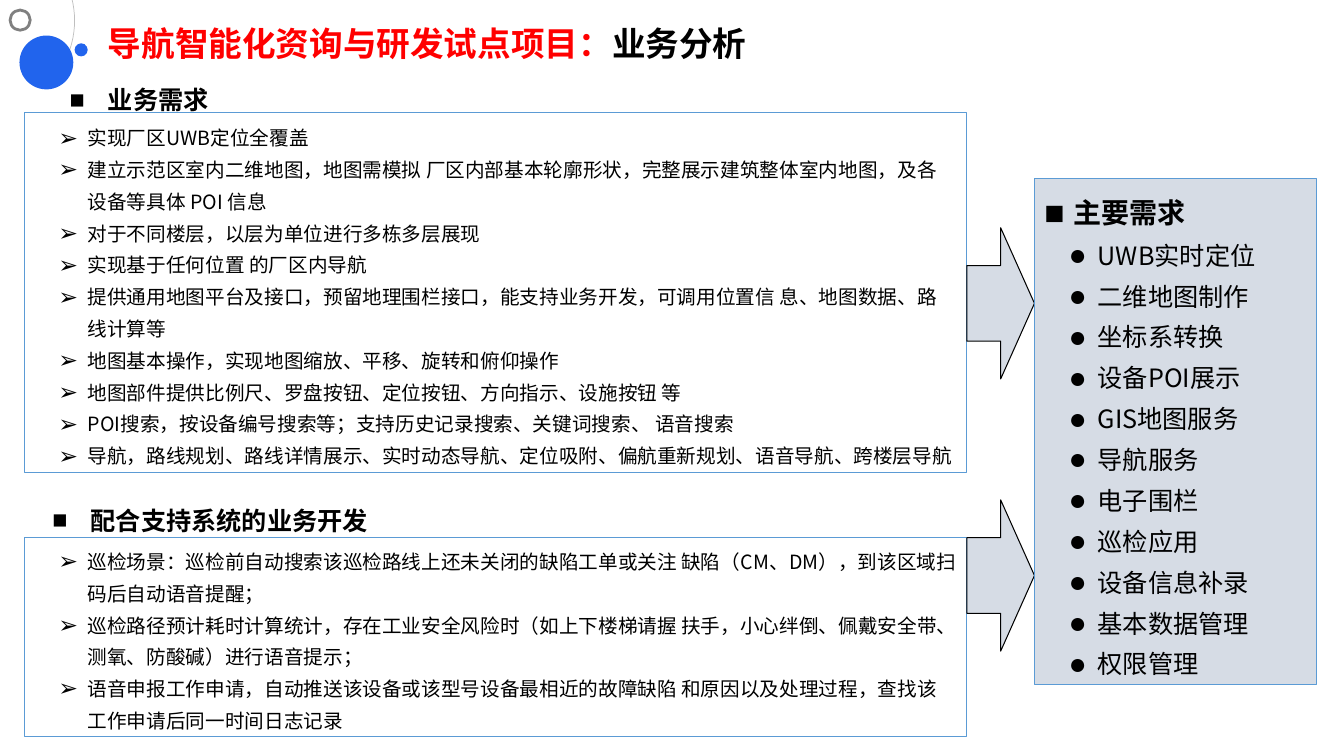
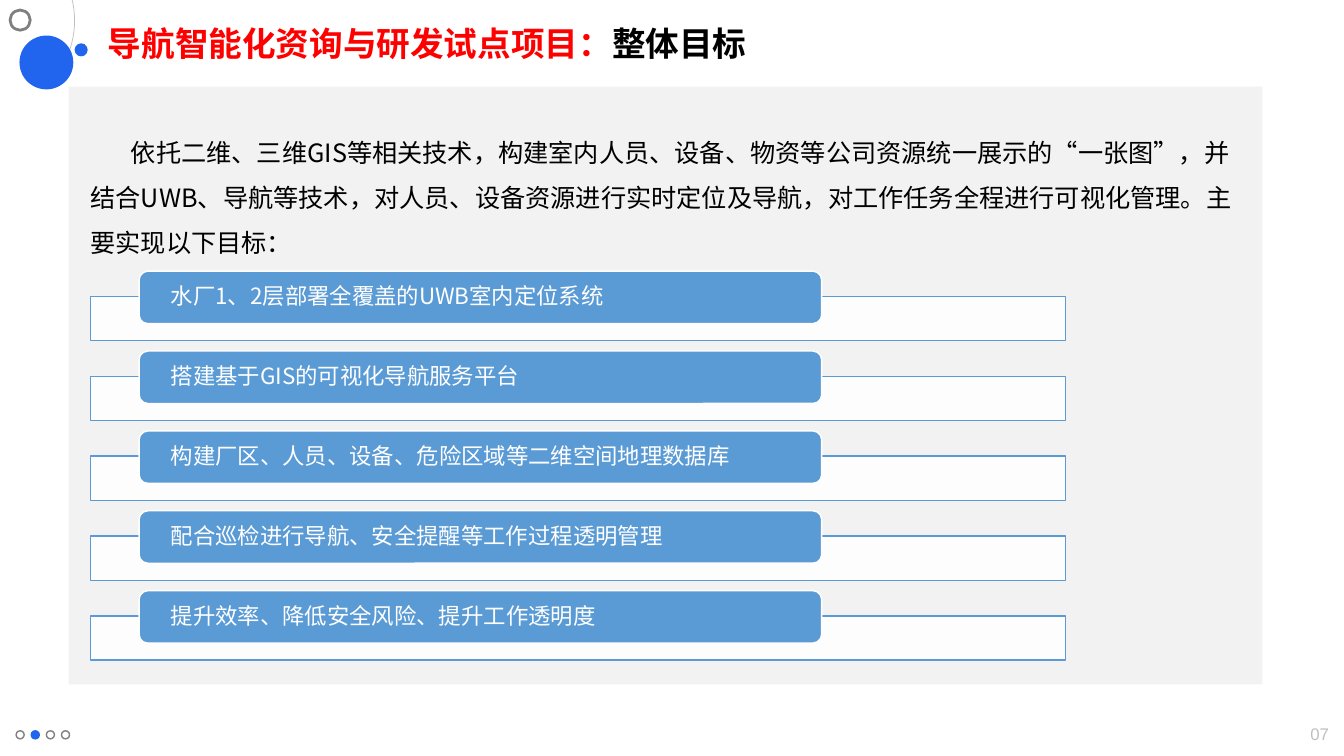
from lxml import etree
from pptx import Presentation
from pptx.dml.color import RGBColor
from pptx.enum.shapes import MSO_SHAPE as SHAPE
from pptx.enum.text import MSO_ANCHOR as ANCHOR, MSO_AUTO_SIZE as AUTO, PP_ALIGN as ALIGN
from pptx.oxml.ns import qn
from pptx.util import Inches, Pt

FONT, LATIN = "Noto Sans CJK SC", "Arial"
BLACK, WHITE, RED = "000000", "FFFFFF", "FF0000"
ACCENT, BORDER, PANEL = "2164ED", "5B9BD5", "D6DCE5"
GREY, PALE, LIGHT = "808080", "BFBFBF", "F2F2F2"
PROJECT = "导航智能化资询与研发试点项目："

BUSINESS = [
    "实现厂区UWB定位全覆盖",
    "建立示范区室内二维地图，地图需模拟 厂区内部基本轮廓形状，完整展示建筑整体室内地图，及各设备等具体 POI 信息",
    "对于不同楼层，以层为单位进行多栋多层展现",
    "实现基于任何位置 的厂区内导航",
    "提供通用地图平台及接口，预留地理围栏接口，能支持业务开发，可调用位置信 息、地图数据、路线计算等",
    "地图基本操作，实现地图缩放、平移、旋转和俯仰操作",
    "地图部件提供比例尺、罗盘按钮、定位按钮、方向指示、设施按钮 等",
    "POI搜索，按设备编号搜索等；支持历史记录搜索、关键词搜索、 语音搜索",
    "导航，路线规划、路线详情展示、实时动态导航、定位吸附、偏航重新规划、语音导航、跨楼层导航",
]
SUPPORT = [
    "巡检场景：巡检前自动搜索该巡检路线上还未关闭的缺陷工单或关注 缺陷（CM、DM），到该区域扫码后自动语音提醒；",
    "巡检路径预计耗时计算统计，存在工业安全风险时（如上下楼梯请握 扶手，小心绊倒、佩戴安全带、测氧、防酸碱）进行语音提示；",
    "语音申报工作申请，自动推送该设备或该型号设备最相近的故障缺陷 和原因以及处理过程，查找该工作申请后同一时间日志记录",
]
NEEDS = ["UWB实时定位", "二维地图制作", "坐标系转换", "设备POI展示", "GIS地图服务", "导航服务",
         "电子围栏", "巡检应用", "设备信息补录", "基本数据管理", "权限管理"]
SUMMARY = ("依托二维、三维GIS等相关技术，构建室内人员、设备、物资等公司资源统一展示的“一张图”，"
           "并结合UWB、导航等技术，对人员、设备资源进行实时定位及导航，对工作任务全程进行可视化管理。"
           "主要实现以下目标：")
GOALS = [
    "水厂1、2层部署全覆盖的UWB室内定位系统",
    "搭建基于GIS的可视化导航服务平台",
    "构建厂区、人员、设备、危险区域等二维空间地理数据库",
    "配合巡检进行导航、安全提醒等工作过程透明管理",
    "提升效率、降低安全风险、提升工作透明度",
]


def rgb(color):
    """Turn a hex string into a colour."""
    return RGBColor.from_string(color)


class Deck:
    """Holds the presentation, its style and the current slide."""

    def __init__(self):
        """Start an empty widescreen presentation."""
        self.prs = Presentation()
        self.prs.slide_width, self.prs.slide_height = Inches(13.33), Inches(7.5)

    def slide(self, layout, topic):
        """Add a slide with the corner decoration and the two-colour title."""
        self.s = self.prs.slides.add_slide(self.prs.slide_layouts[layout])
        arc = self.shape(SHAPE.ARC, (-1.05, -0.69, 1.79, 1.79), line=PALE, width=0.5)
        for i, degrees in enumerate((207.72, 48.6)):
            arc.adjustments[i] = degrees * 0.6
        self.shape(SHAPE.OVAL, (0.2, 0.36, 0.52, 0.52), ACCENT, ACCENT, 1)
        self.shape(SHAPE.OVAL, (0.74, 0.43, 0.13, 0.13), ACCENT)
        self.shape(SHAPE.OVAL, (0.1, 0.1, 0.2, 0.2), line=GREY, width=2)
        tf = self.holder(0, (0.97, 0.18, 10.63, 0.5)).text_frame
        p = tf.paragraphs[0]
        for text, color in ((PROJECT, RED), (topic, BLACK)):
            p.add_run().text = text
            self.style(p.runs[-1], 24, color, True)
        self.space(p, 24, 1)

    def shape(self, kind, at, fill=None, line=None, width=0.75, alpha=None):
        """Add a preset shape."""
        sp = self.s.shapes.add_shape(kind, *map(Inches, at))
        sp.shadow.inherit = False
        self.paint(sp, fill, line, width)
        if alpha:
            color = sp.fill._xPr.find(qn("a:solidFill"))[0]
            etree.SubElement(color, qn("a:alpha"), val=str(alpha * 1000))
        return sp

    def paint(self, sp, fill, line, width=0.75):
        """Set the fill and outline of a shape."""
        if fill:
            sp.fill.solid()
            sp.fill.fore_color.rgb = rgb(fill)
        else:
            sp.fill.background()
        if line:
            sp.line.color.rgb = rgb(line)
            sp.line.width = Pt(width)
        else:
            sp.line.fill.background()

    def holder(self, idx, at, anchor=ANCHOR.TOP):
        """Move a placeholder of the layout into place."""
        sp = next(p for p in self.s.placeholders if p.placeholder_format.idx == idx)
        sp.left, sp.top, sp.width, sp.height = map(Inches, at)
        self.frame(sp, anchor)
        return sp

    def frame(self, sp, anchor):
        """Set wrapping and anchoring of a text frame."""
        tf = sp.text_frame
        tf.word_wrap, tf.auto_size, tf.vertical_anchor = True, AUTO.NONE, anchor
        return tf

    def style(self, r, size, color=BLACK, bold=False, font=FONT):
        """Format one run."""
        r.font.size, r.font.bold, r.font.name = Pt(size), bold, font
        r.font.color.rgb = rgb(color)
        r.font._rPr.find(qn("a:latin")).addnext(etree.Element(qn("a:ea"), typeface=font))

    def space(self, p, size, ratio, align=ALIGN.LEFT):
        """Set alignment and line pitch, as a ratio of a 1.2 em line."""
        p.alignment = align
        p.space_before = p.space_after = Pt(0)
        p.line_spacing = Pt(round(size * 1.2 * ratio, 1))

    def para(self, p, text, size, ratio=1, color=BLACK, bold=False, align=ALIGN.LEFT, font=FONT):
        """Fill one paragraph and format it."""
        p.text = text
        self.space(p, size, ratio, align)
        self.style(p.runs[0], size, color, bold, font)

    def indent(self, p, left, first):
        """Set the left margin and first-line indent."""
        pPr = p._p.get_or_add_pPr()
        pPr.set("marL", str(Inches(left)))
        pPr.set("indent", str(Inches(first)))
        return pPr

    def bullet(self, p, char, left, hang, percent=120):
        """Give a paragraph a hanging bullet."""
        pPr = self.indent(p, left, -hang)
        etree.SubElement(pPr, qn("a:buSzPct"), val=str(percent * 1000))
        etree.SubElement(pPr, qn("a:buFont"), typeface=LATIN)
        etree.SubElement(pPr, qn("a:buChar"), char=char)

    def items(self, tf, texts, size, char):
        """Append bulleted paragraphs, starting with an empty first one."""
        for text in texts:
            p = tf.add_paragraph() if tf.text else tf.paragraphs[0]
            self.para(p, text, size, 1.35)
            self.bullet(p, char, 0.53, 0.29)

    def heading(self, idx, left, top, text):
        """Fill a section heading placeholder."""
        p = self.holder(idx, (left, top, 8.82, 0.51)).text_frame.paragraphs[0]
        self.para(p, text, 18, 1.5, bold=True)
        self.bullet(p, "■", 0.38, 0.38, 100)

    def boxed_list(self, idx, top, height, texts):
        """Fill an outlined list placeholder."""
        sp = self.holder(idx, (0.24, top, 9.35, height), ANCHOR.MIDDLE)
        self.paint(sp, None, BORDER)
        self.items(sp.text_frame, texts, 14, "➢")

    def panel(self, at, title, texts):
        """Add a filled panel with a heading and a list."""
        tf = self.frame(self.shape(SHAPE.RECTANGLE, at, PANEL, BORDER), ANCHOR.MIDDLE)
        self.para(tf.paragraphs[0], title, 20, 1.35, bold=True)
        self.bullet(tf.paragraphs[0], "■", 0.29, 0.29)
        self.items(tf, texts, 18, "●")

    def text(self, at, text, size, anchor=ANCHOR.TOP, **look):
        """Add a text box with one paragraph."""
        tf = self.frame(self.s.shapes.add_textbox(*map(Inches, at)), anchor)
        self.para(tf.paragraphs[0], text, size, **look)
        return tf.paragraphs[0]

    def goal(self, top, text):
        """Add a goal label over its outlined bar."""
        self.shape(SHAPE.RECTANGLE, (0.9, top + 0.25, 9.67, 0.44), WHITE, BORDER, 1, 90)
        sp = self.shape(SHAPE.ROUNDED_RECTANGLE, (1.38, top, 6.77, 0.52), BORDER, WHITE, 1)
        tf = self.frame(sp, ANCHOR.MIDDLE)
        tf.margin_left = tf.margin_right = Inches(0.29)
        tf.margin_top = tf.margin_bottom = 0
        self.para(tf.paragraphs[0], text, 16, 0.9, WHITE)

    def footer(self, number, active, count=4):
        """Add the page number and the progress dots."""
        self.text((12.48, 7.07, 0.8, 0.43), number, 12, ANCHOR.MIDDLE,
                  color=PALE, align=ALIGN.RIGHT, font=LATIN)
        for i in range(count):
            fill, line = (ACCENT, ACCENT) if i == active else (None, GREY)
            self.shape(SHAPE.OVAL, (0.16 + 0.15 * i, 7.25, 0.08, 0.08), fill, line, 1)


def analysis(deck):
    """Build the business analysis slide."""
    deck.slide(4, "业务分析")
    deck.heading(1, 0.59, 0.64, "业务需求")
    deck.boxed_list(2, 1.12, 3.57, BUSINESS)
    deck.heading(3, 0.42, 4.81, "配合支持系统的业务开发")
    deck.boxed_list(4, 5.33, 1.98, SUPPORT)
    for top in (2.26, 4.96):
        deck.shape(SHAPE.RIGHT_ARROW, (9.59, top, 0.67, 1.5), PANEL, BLACK)
    deck.panel((10.26, 1.77, 2.8, 5.02), "主要需求", NEEDS)


def objectives(deck):
    """Build the overall objectives slide."""
    deck.slide(5, "整体目标")
    deck.footer("07", active=1)
    deck.shape(SHAPE.RECTANGLE, (0.68, 0.86, 11.84, 5.93), LIGHT)
    p = deck.text((0.8, 1.16, 11.6, 1.41), SUMMARY, 18, ratio=1.5)
    deck.indent(p, 0, 0.4)
    pitch = (5.86 - 2.69) / (len(GOALS) - 1)
    for i, text in enumerate(GOALS):
        deck.goal(2.69 + pitch * i, text)


def main():
    """Build and save the presentation."""
    deck = Deck()
    analysis(deck)
    objectives(deck)
    deck.prs.save("out.pptx")


if __name__ == "__main__":
    main()
